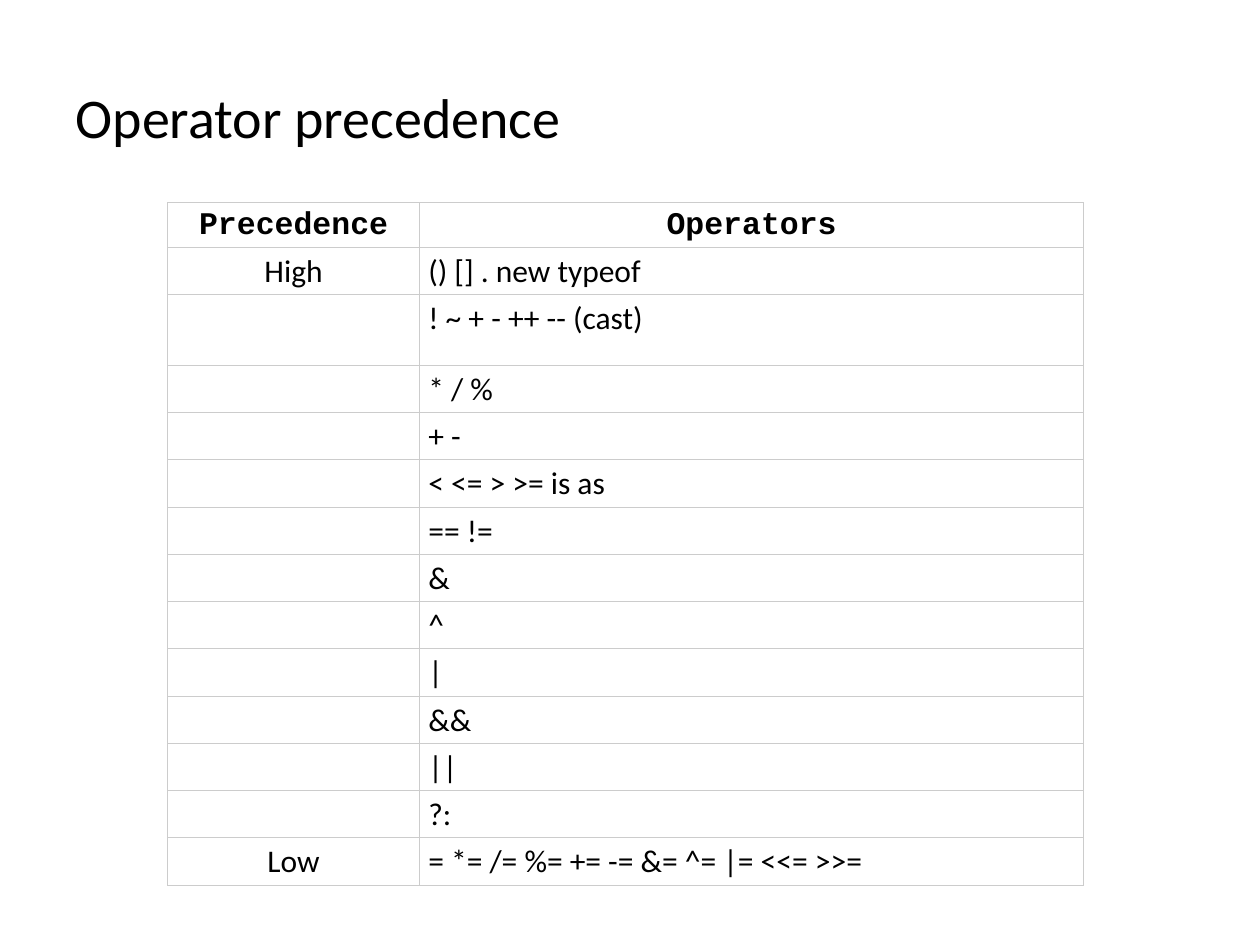
from lxml import etree
from pptx import Presentation
from pptx.dml.color import RGBColor
from pptx.enum import text
from pptx.oxml import ns
from pptx.util import Inches, Pt

COLORS = {"ink": "000000", "paper": "FFFFFF", "grid": "CCCCCC"}
HEADINGS = ("Precedence", "Operators")
OPERATORS = [
    "() [] . new typeof",
    "! ~ + - ++ -- (cast)",
    "* / %",
    "+ -",
    "< <= > >= is as",
    "== !=",
    "&",
    "^",
    "|",
    "&&",
    "||",
    "?:",
    "= *= /= %= += -= &= ^= |= <<= >>=",
]
COLUMN_WIDTHS = (2, 5.27)
ROW_HEIGHT = 0.32
UNARY_ROW, UNARY_HEIGHT = 2, 0.56


def write(frame, words, size=18, font="Calibri", bold=False,
          align=text.PP_ALIGN.LEFT):
    paragraph = frame.paragraphs[0]
    paragraph.alignment = align
    style = paragraph.font
    if words:
        run = paragraph.add_run()
        run.text = words
        style = run.font
    style.size = Pt(size)
    style.name = font
    style.bold = bold
    style.color.rgb = RGBColor.from_string(COLORS["ink"])


def format_cell(cell):
    cell.margin_left = cell.margin_right = Inches(0.07)
    cell.margin_top, cell.margin_bottom = Inches(0.04), Inches(0.03)
    # Borders come before the fill in the cell properties
    properties = cell._tc.get_or_add_tcPr()
    for side in ("a:lnL", "a:lnR", "a:lnT", "a:lnB"):
        border = etree.SubElement(properties, ns.qn(side), w=str(Pt(0.63)))
        fill = etree.SubElement(border, ns.qn("a:solidFill"))
        etree.SubElement(fill, ns.qn("a:srgbClr"), val=COLORS["grid"])
    cell.fill.solid()
    cell.fill.fore_color.rgb = RGBColor.from_string(COLORS["paper"])


def add_title(slide, words):
    title = slide.shapes.title
    title.left, title.top = Inches(0.5), Inches(0.3)
    title.width, title.height = Inches(9), Inches(1.25)
    title.text_frame.vertical_anchor = text.MSO_ANCHOR.MIDDLE
    write(title.text_frame, words, size=32)


def add_precedence_table(slide):
    levels = ["High"] + [""] * (len(OPERATORS) - 2) + ["Low"]
    rows = [HEADINGS, *zip(levels, OPERATORS)]
    table = slide.shapes.add_table(
        len(rows), len(COLUMN_WIDTHS), Inches(1.33), Inches(1.61),
        Inches(sum(COLUMN_WIDTHS)), Inches(ROW_HEIGHT * len(rows))).table
    for column, width in zip(table.columns, COLUMN_WIDTHS):
        column.width = Inches(width)
    for r, row in enumerate(rows):
        height = UNARY_HEIGHT if r == UNARY_ROW else ROW_HEIGHT
        table.rows[r].height = Inches(height)
        heading = r == 0
        for c, words in enumerate(row):
            cell = table.cell(r, c)
            format_cell(cell)
            centred = heading or c == 0
            write(cell.text_frame, words, bold=heading,
                  font="Courier New" if heading else "Calibri",
                  align=text.PP_ALIGN.CENTER if centred else text.PP_ALIGN.LEFT)


def main():
    deck = Presentation()
    deck.slide_width, deck.slide_height = Inches(10), Inches(7.5)
    slide = deck.slides.add_slide(deck.slide_layouts[5])
    add_title(slide, "Operator precedence")
    add_precedence_table(slide)
    deck.save("out.pptx")


if __name__ == "__main__":
    main()
